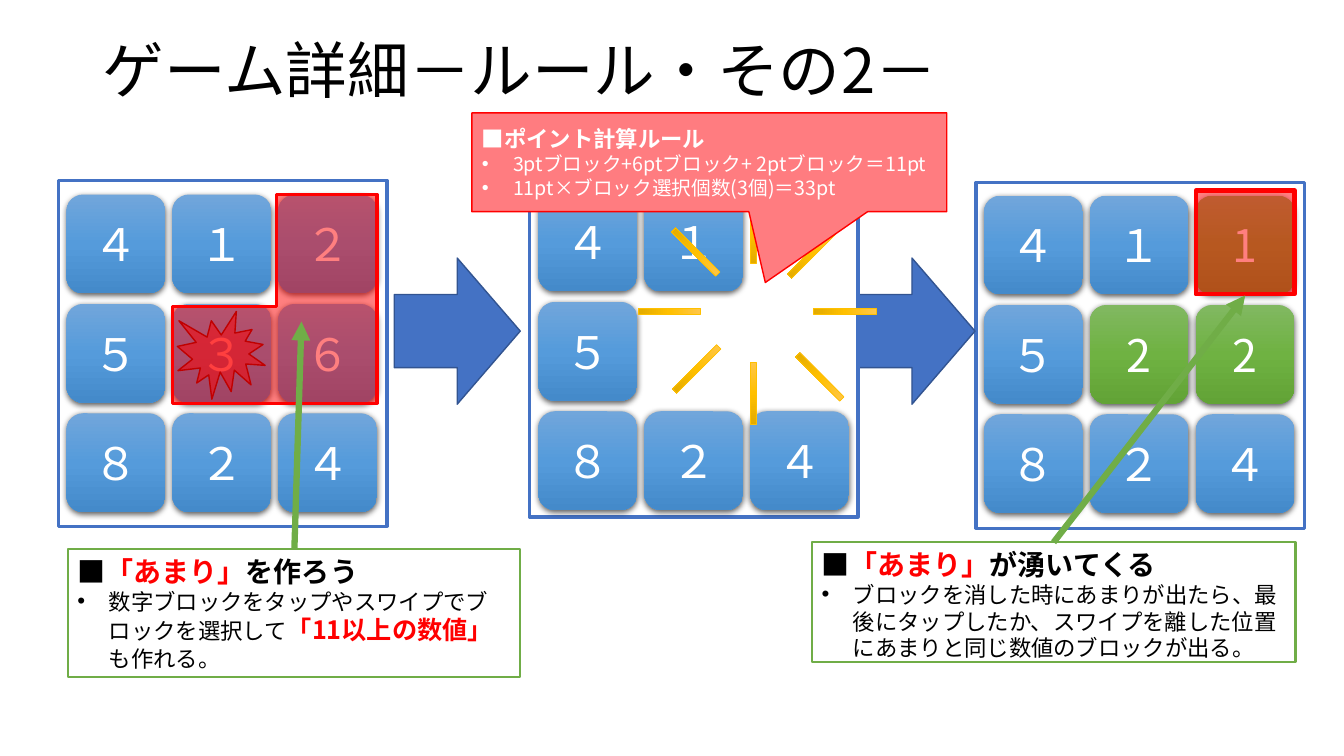
import pptx
import pptx.util
import pptx.dml.color
import pptx.enum.shapes
import pptx.enum.text
import pptx.oxml.ns
from lxml import etree

Inches = pptx.util.Inches
Pt = pptx.util.Pt
RGBColor = pptx.dml.color.RGBColor
Kind = pptx.enum.shapes.MSO_SHAPE
Align = pptx.enum.text.PP_ALIGN
Anchor = pptx.enum.text.MSO_ANCHOR
qn = pptx.oxml.ns.qn

FONT = "Noto Sans CJK JP"
BLACK = RGBColor(0, 0, 0)
WHITE = RGBColor(255, 255, 255)
RED = RGBColor(255, 0, 0)
DARK = RGBColor(0xC0, 0, 0)
PINK = RGBColor(0xFF, 0x7C, 0x80)
BLUE = RGBColor(0x44, 0x72, 0xC4)
NAVY = RGBColor(0x32, 0x54, 0x91)
GREEN = RGBColor(0x70, 0xAD, 0x47)
GOLD = RGBColor(0xFF, 0xC0, 0)
SKY = (RGBColor(0x71, 0xA6, 0xDB), RGBColor(0x55, 0x9B, 0xDB), RGBColor(0x44, 0x8A, 0xCA))
LEAF = (RGBColor(0x81, 0xB8, 0x61), RGBColor(0x6F, 0xB2, 0x42), RGBColor(0x62, 0xA3, 0x36))
SUN = (RGBColor(0xFF, 0xC6, 0x4B), GOLD, RGBColor(0xE3, 0xAB, 0))

TITLE = "ゲーム詳細－ルール・その2－"
SIDE = 0.98
STEP_X, STEP_Y = 1.05, 1.085
FRAME = (3.26, 3.43)
BOARDS = {
    "first": ((0.58, 1.79), (0.66, 1.93), ("４１２", "５３６", "８２４")),
    "burst": ((5.25, 1.70), (5.34, 1.91), ("４１ ", "５  ", "８２４")),
    "last": ((9.68, 1.81), (9.76, 1.94), ("４１1", "５22", "８２４")),
}
RAYS = [
    (7.47, 2.30, 0), (7.47, 3.90, 0), (8.38, 3.09, 90), (6.64, 3.09, 90),
    (8.05, 2.52, 45), (6.91, 3.66, 45), (8.13, 3.74, 135), (6.90, 2.50, 135),
]
RAY = (0.06, 0.62)
ARROWS = [3.91, 8.42]
SPAWN = [
    [("■", 20, BLACK, True), ("「あまり」", 20, RED, True), ("が湧いてくる", 20, BLACK, True)],
    [("ブロックを消した時にあまりが出たら、最後にタップしたか、スワイプを離した位置にあまりと同じ数値のブロックが出る。", 16, BLACK, False)],
]
MAKE = [
    [("■", 20, BLACK, True), ("「あまり」", 20, RED, True), ("を作ろう", 20, BLACK, True)],
    [("数字ブロックをタップやスワイプでブロックを選択して", 16, BLACK, False),
     ("「11以上の数値」", 18, RED, True), ("も作れる。", 16, BLACK, False)],
]
SCORE = [
    [("■ポイント計算ルール", 16, WHITE, True)],
    [("3ptブロック+6ptブロック+ 2ptブロック＝11pt", 14, WHITE, False)],
    [("11pt×ブロック選択個数(3個)＝33pt", 14, WHITE, False)],
]


def add_run(para, text, size, color, bold=False):
    run = para.add_run()
    run.text = text
    run.font.size = Pt(size)
    run.font.bold = bold
    run.font.color.rgb = color
    run.font.name = FONT
    etree.SubElement(run.font._element, qn("a:ea"), typeface=FONT)


def shade(shape, stops):
    grad = etree.Element(qn("a:gradFill"), rotWithShape="1")
    row = etree.SubElement(grad, qn("a:gsLst"))
    for at, color in zip((0, 50000, 100000), stops):
        stop = etree.SubElement(row, qn("a:gs"), pos=str(at))
        etree.SubElement(stop, qn("a:srgbClr"), val=str(color))
    etree.SubElement(grad, qn("a:lin"), ang="5400000", scaled="0")
    shape._element.spPr.find(qn("a:prstGeom")).addnext(grad)


def add_form(home, kind, box, fill, line=None, width=1, clear=False):
    shape = home.add_shape(kind, *map(Inches, box))
    shape.shadow.inherit = False
    if isinstance(fill, RGBColor):
        shape.fill.solid()
        shape.fill.fore_color.rgb = fill
    else:
        shade(shape, fill)
    if clear:
        tint = shape._element.spPr.find(qn("a:solidFill"))[0]
        etree.SubElement(tint, qn("a:alpha"), val="50000")
    if line is None:
        shape.line.fill.background()
    else:
        shape.line.color.rgb = line
        shape.line.width = Pt(width)
    return shape


def add_tile(home, box, digit, stops):
    tile = add_form(home, Kind.ROUNDED_RECTANGLE, box, stops)
    cast = etree.SubElement(
        tile._element.spPr.find(qn("a:effectLst")), qn("a:outerShdw"),
        blurRad=str(Pt(4.5)), dist=str(Pt(1.5)), dir="5400000", algn="ctr", rotWithShape="0")
    tone = etree.SubElement(cast, qn("a:srgbClr"), val="000000")
    etree.SubElement(tone, qn("a:alpha"), val="63000")
    frame = tile.text_frame
    frame.vertical_anchor = Anchor.MIDDLE
    frame.paragraphs[0].alignment = Align.CENTER
    add_run(frame.paragraphs[0], digit, 32, WHITE)


def add_board(name):
    corner, start, rows = BOARDS[name]
    home = slide.shapes.add_group_shape().shapes
    add_form(home, Kind.RECTANGLE, corner + FRAME, WHITE, BLUE, 2.25)
    for r, row in enumerate(rows):
        for c, digit in enumerate(row):
            if digit != " ":
                box = (start[0] + c * STEP_X, start[1] + r * STEP_Y, SIDE, SIDE)
                add_tile(home, box, digit, LEAF if digit in "12" else SKY)
    return home


def add_note(kind, box, paras, fill, line, width, anchor):
    note = add_form(slide.shapes, kind, box, fill, line, width)
    frame = note.text_frame
    frame.word_wrap = True
    frame.vertical_anchor = anchor
    for i, runs in enumerate(paras):
        para = frame.add_paragraph() if i else frame.paragraphs[0]
        para.alignment = Align.LEFT
        if i:
            props = para._p.get_or_add_pPr()
            props.set("marL", str(Inches(0.31)))
            props.set("indent", str(-Inches(0.31)))
            etree.SubElement(props, qn("a:buFont"), typeface="Arial")
            etree.SubElement(props, qn("a:buChar"), char="•")
        for part in runs:
            add_run(para, *part)
    return note


def add_link(start, end):
    link = slide.shapes.add_connector(
        pptx.enum.shapes.MSO_CONNECTOR.STRAIGHT, *map(Inches, start + end))
    link.line.color.rgb = GREEN
    link.line.width = Pt(4.5)
    etree.SubElement(link.line._get_or_add_ln(), qn("a:tailEnd"), type="triangle")
    etree.SubElement(link._element.spPr, qn("a:effectLst"))


deck = pptx.Presentation()
deck.slide_width, deck.slide_height = Inches(13.33), Inches(7.5)
slide = deck.slides.add_slide(deck.slide_layouts[5])

title = slide.shapes.title
title.left, title.top, title.width, title.height = map(Inches, (0.92, 0, 11.5, 1.45))
title.text_frame.vertical_anchor = Anchor.MIDDLE
head = title.text_frame.paragraphs[0]
head.alignment = Align.LEFT
head.line_spacing = 0.9
add_run(head, TITLE, 44, BLACK)

last = add_board("last")
add_form(last, Kind.RECTANGLE, (11.86, 1.89, 0.98, 1.03), RED, RED, 3, True)

for left in ARROWS:
    add_form(slide.shapes, Kind.RIGHT_ARROW, (left, 2.56, 1.25, 1.45), BLUE, NAVY)

burst = add_board("burst")
for x, y, turn in RAYS:
    box = (x - RAY[0] / 2, y - RAY[1] / 2) + RAY
    add_form(burst, Kind.RECTANGLE, box, SUN, GOLD, 0.5).rotation = turn

add_note(Kind.RECTANGLE, (8.05, 5.38, 4.8, 1.19), SPAWN, WHITE, GREEN, 1.5, Anchor.TOP)
score = add_note(Kind.RECTANGULAR_CALLOUT, (4.68, 1.12, 4.71, 0.98), SCORE, PINK, RED, 1, Anchor.MIDDLE)
score.adjustments[0], score.adjustments[1] = 0.118, 1.217
add_link((10.45, 5.38), (12.35, 2.93))

first = add_board("first")
pick = add_form(first, Kind.CORNER, (1.69, 1.95, 2.07, 2.03), RED, RED, 2.25, True)
pick.adjustments[0], pick.adjustments[1] = 0.492, 0.472
pick.rotation = 270
add_form(first, Kind.EXPLOSION1, (1.76, 3.09, 0.87, 0.87), RED, DARK, 1, True)

add_note(Kind.RECTANGLE, (0.67, 5.45, 4.49, 1.27), MAKE, WHITE, GREEN, 1.5, Anchor.TOP)
add_link((2.92, 5.45), (2.99, 3.19))

deck.save("out.pptx")
